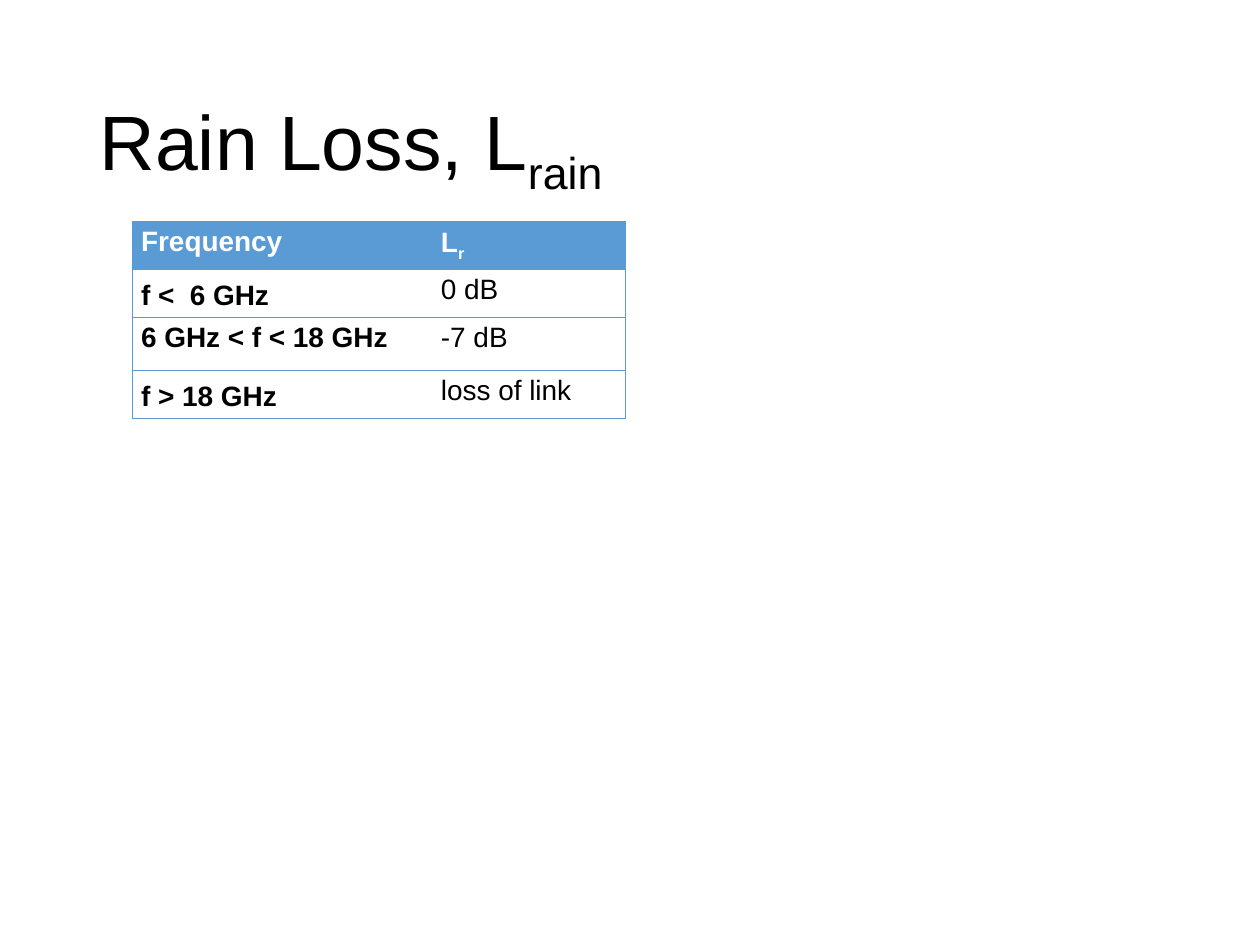
import pptx
import pptx.dml.color
import pptx.enum.text
import pptx.oxml
import pptx.oxml.ns
import pptx.util
from lxml import etree

WIDE, HIGH = 10, 7.5
HUES = {"ink": "000000", "blue": "5B9BD5", "white": "FFFFFF"}
ANCHOR = pptx.enum.text.MSO_ANCHOR
COLS = [2.38, 1.53]
ROWS = [0.38, 0.38, 0.42, 0.38]
# Each cell is a base text and its subscript
CELLS = [
    [("Frequency", ""), ("L", "r")],
    [("f <  6 GHz", ""), ("0 dB", "")],
    [("6 GHz < f < 18 GHz", ""), ("-7 dB", "")],
    [("f > 18 GHz", ""), ("loss of link", "")],
]


def inch(size):
    return pptx.util.Inches(size)


def color(name):
    return pptx.dml.color.RGBColor.from_string(HUES[name])


def style(item, form):
    for key, value in form.items():
        setattr(item, key, value)


def write(frame, parts, space, hue, form):
    """Write a base text followed by a subscript."""
    para = frame.paragraphs[0]
    style(para, {"line_spacing": space,
                 "alignment": pptx.enum.text.PP_ALIGN.LEFT})
    for text, shift in zip(parts, (0, -25000)):
        if not text:
            continue
        run = para.add_run()
        run.text = text
        style(run.font, {"name": "Arial", **form})
        run.font.color.rgb = color(hue)
        if shift:
            run.font._element.set("baseline", str(shift))


def edge(cell, sides):
    """Draw the named sides of a cell and hide the others."""
    props = cell._tc.get_or_add_tcPr()
    tag = pptx.oxml.ns.qn
    for spot, side in enumerate("LRTB"):
        line = etree.Element(tag("a:ln" + side), w=str(pptx.util.Pt(0.5)))
        if side in sides:
            fill = etree.SubElement(line, tag("a:solidFill"))
            etree.SubElement(fill, tag("a:srgbClr"), val=HUES["blue"])
        else:
            etree.SubElement(line, tag("a:noFill"))
        props.insert(spot, line)


def head(slide):
    title = slide.shapes.title
    style(title, {"left": inch(0.069 * WIDE), "top": inch(0.4),
                  "width": inch(0.862 * WIDE), "height": inch(1.45)})
    style(title.text_frame, {"word_wrap": True,
                             "vertical_anchor": ANCHOR.MIDDLE})
    write(title.text_frame, ("Rain Loss, L", "rain"), 0.9, "ink",
          {"size": pptx.util.Pt(44), "bold": False})


def grid(slide):
    table = slide.shapes.add_table(
        len(ROWS), len(COLS), inch(1.05), inch(1.76),
        inch(sum(COLS)), inch(sum(ROWS))).table
    table.horz_banding = False
    for col, width in zip(table.columns, COLS):
        col.width = inch(width)
    for row, height in zip(table.rows, ROWS):
        row.height = inch(height)
    for r, line in enumerate(CELLS):
        for c, parts in enumerate(line):
            cell = table.cell(r, c)
            # Labels of the first and last ranges sit in the middle
            middle = c == 0 and r in (1, 3)
            style(cell, {
                "margin_left": inch(0.07), "margin_right": inch(0.07),
                "margin_top": 0, "margin_bottom": 0,
                "vertical_anchor": ANCHOR.MIDDLE if middle else ANCHOR.TOP})
            cell.fill.solid()
            cell.fill.fore_color.rgb = color("white" if r else "blue")
            edge(cell, "TB" + "LR"[c])
            write(cell.text_frame, parts, 1.15, "ink" if r else "white",
                  {"size": pptx.util.Pt(16), "bold": r == 0 or c == 0})


def main():
    deck = pptx.Presentation()
    style(deck, {"slide_width": inch(WIDE), "slide_height": inch(HIGH)})
    slide = deck.slides.add_slide(deck.slide_layouts[5])
    # Title with subscript
    head(slide)
    # Loss by frequency range
    grid(slide)
    deck.save("out.pptx")


if __name__ == "__main__":
    main()
